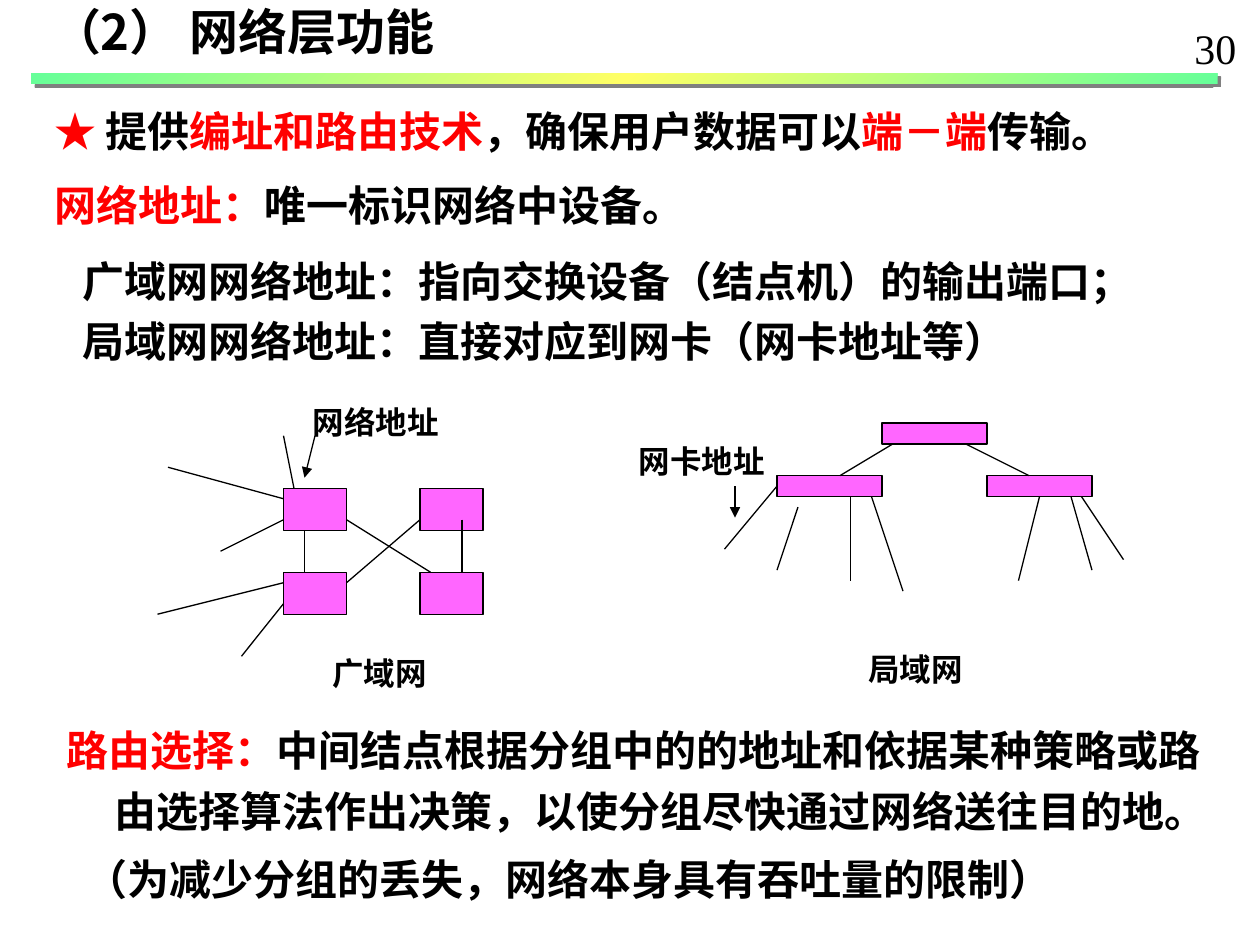
from copy import deepcopy
from lxml import etree
from pptx import Presentation
from pptx import util as u
from pptx.dml.color import RGBColor
from pptx.enum import shapes, text
from pptx.oxml.ns import qn

HUE = {"red": "FF0000", "black": "000000", "pink": "FF66FF",
       "green": "66FF99", "yellow": "FFFF66", "gray": "808080"}
NOTO = "Noto Sans CJK SC"
STEP = 2.54 / 12


def place(shape, x, y, w, h):
    shape.left, shape.top, shape.width, shape.height = map(u.Cm, (x, y, w, h))
    frame = shape.text_frame
    frame.margin_left = frame.margin_top = frame.margin_right = frame.margin_bottom = 0
    frame.word_wrap = True
    frame.auto_size = text.MSO_AUTO_SIZE.NONE
    frame.vertical_anchor = text.MSO_ANCHOR.TOP
    return frame


def write(frame, parts, size=24, font=NOTO, bold=True, align="LEFT",
          left=0, hang=0, before=0, after=0, lead=1.0):
    para = frame.paragraphs[0]
    if para.runs:
        para = frame.add_paragraph()
    prop = para._p.get_or_add_pPr()
    prop.set("marL", str(u.Cm(left)))
    prop.set("indent", str(u.Cm(-hang)))
    etree.SubElement(prop, qn("a:buNone"))
    para.alignment = text.PP_ALIGN[align]
    para.space_before, para.space_after = u.Pt(before), u.Pt(after)
    para.line_spacing = lead
    for words, hue in parts:
        run = para.add_run()
        run.text = words
        run.font.size, run.font.bold, run.font.name = u.Pt(size), bold, font
        run.font.color.rgb = RGBColor.from_string(HUE[hue])
        etree.SubElement(run._r.get_or_add_rPr(), qn("a:ea")).set("typeface", font)


deck = Presentation()
deck.slide_width, deck.slide_height = u.Cm(25.4), u.Cm(19.05)
slide = deck.slides.add_slide(deck.slide_layouts[3])
title, upper, lower = slide.placeholders

write(place(title, 1.05, 0.04, 9.8, 1.4), [("（2） 网络层功能", "black")], size=28)

frame = place(upper, 1.09, 2.12, 23.42, 5.4)
write(frame, [("★ ", "red"), ("提供", "black"), ("编址和路由技术", "red"),
              ("，确保用户数据可以", "black"), ("端－端", "red"), ("传输。", "black")],
      left=0.97, hang=0.97, after=13.7)
write(frame, [("网络地址：", "red"), ("唯一标识网络中设备。", "black")],
      left=0.97, hang=0.97, after=8.6)
for words in ("广域网网络地址：指向交换设备（结点机）的输出端口；",
              "局域网网络地址：直接对应到网卡（网卡地址等）"):
    write(frame, [(words, "black")], left=0.58, lead=1.2)

frame = place(lower, 1.35, 14.41, 23.42, 4.3)
write(frame, [("路由选择：", "red"),
              ("中间结点根据分组中的的地址和依据某种策略或路由选择算法作出决策，"
               "以使分组尽快通过网络送往目的地。", "black")],
      left=0.95, hang=0.95, lead=1.2)
write(frame, [("（为减少分组的丢失，网络本身具有吞吐量的限制）", "black")],
      left=0.38, before=4.6, lead=1.2)

wan = dict(
    shift=0.5, size=(6, 4),
    nodes=[(27, 46), (27, 54), (40, 54), (40, 46)],
    links=[(33, 49, 41, 54), (40, 49, 33, 55), (29, 50, 29, 54), (44, 49, 44, 54),
           (27, 41, 28, 46), (16, 44, 27, 47), (21, 52, 27, 49), (15, 58, 27, 55),
           (23, 62, 27, 57)],
    arrow=(30, 41, 29, 45))
lan = dict(
    shift=0.3, size=(10, 2),
    nodes=[(84, 40), (94, 45), (74, 45)],
    links=[(85, 42, 80, 45), (92, 42, 98, 45), (74, 46, 69, 52), (76, 48, 74, 54),
           (81, 47, 81, 55), (83, 47, 86, 56), (103, 47, 107, 53), (102, 47, 104, 54),
           (99, 47, 97, 55)],
    arrow=(70, 46, 70, 49))

for net in (wan, lan):
    wide, high = net["size"]
    shift = net["shift"]
    sites = {}
    for x, y in net["nodes"]:
        node = slide.shapes.add_shape(
            shapes.MSO_SHAPE.RECTANGLE, u.Cm(x * STEP), u.Cm((y + shift) * STEP),
            u.Cm(wide * STEP), u.Cm(high * STEP))
        node.shadow.inherit = False
        node.fill.solid()
        node.fill.fore_color.rgb = RGBColor.from_string(HUE["pink"])
        node.line.color.rgb = RGBColor.from_string(HUE["black"])
        node.line.width = u.Pt(0.75)
        mids = [(x + wide / 2, y), (x, y + high / 2),
                (x + wide / 2, y + high), (x + wide, y + high / 2)]
        sites.update({mid: (node, side) for side, mid in enumerate(mids)})
    for link in net["links"] + [net["arrow"]]:
        ax, ay, bx, by = link
        line = slide.shapes.add_connector(
            shapes.MSO_CONNECTOR.STRAIGHT, u.Cm(ax * STEP), u.Cm((ay + shift) * STEP),
            u.Cm(bx * STEP), u.Cm((by + shift) * STEP))
        line.line.color.rgb = RGBColor.from_string(HUE["black"])
        line.line.width = u.Pt(0.75)
        if link == net["arrow"]:
            etree.SubElement(line.line._get_or_add_ln(), qn("a:tailEnd")).set("type", "triangle")
        etree.SubElement(line._element.spPr, qn("a:effectLst"))
        if (ax, ay) in sites:
            line.begin_connect(*sites[ax, ay])
        if (bx, by) in sites:
            line.end_connect(*sites[bx, by])

for words, x, y, w in (("网络地址", 6.05, 8.12, 3.05), ("广域网", 6.45, 13.18, 2.4),
                       ("网卡地址", 12.62, 8.92, 3.05), ("局域网", 17.26, 13.1, 2.4)):
    label = slide.shapes.add_textbox(0, 0, 0, 0)
    write(place(label, x, y, w, 0.8), [(words, "black")], size=18, align="CENTER")

bar = slide.shapes.add_shape(
    shapes.MSO_SHAPE.RECTANGLE, u.Cm(0.63), u.Cm(1.48), u.Cm(23.92), u.Cm(0.21))
bar.line.fill.background()
bar.fill.gradient()
bar.fill.gradient_angle = 315
stops = bar._element.spPr.find(".//" + qn("a:gsLst"))
stops.append(deepcopy(stops[0]))
for stop, hue, spot in zip(bar.fill.gradient_stops, ("green", "yellow", "green"), (0, 0.5, 1)):
    stop.color.rgb = RGBColor.from_string(HUE[hue])
    stop.position = spot
bar.shadow.inherit = False
cast = etree.SubElement(bar._element.spPr.find(qn("a:effectLst")), qn("a:outerShdw"),
                        dist=str(u.Pt(2.8)), dir="2700000", algn="ctr", rotWithShape="0")
etree.SubElement(cast, qn("a:srgbClr")).set("val", HUE["gray"])

page = slide.shapes.add_textbox(0, 0, 0, 0)
write(place(page, 24.08, 0.46, 1.2, 1.1), [("30", "black")],
      font="Times New Roman", bold=False)

deck.save("out.pptx")
